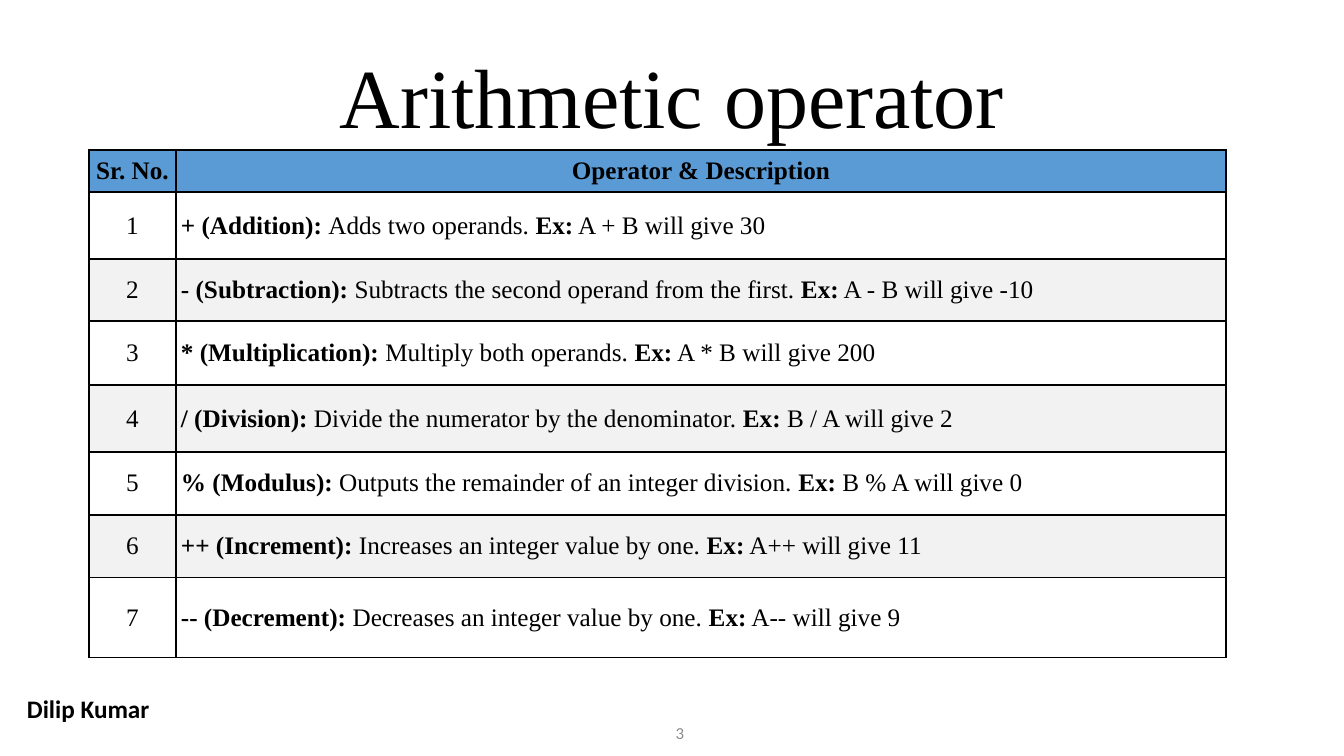
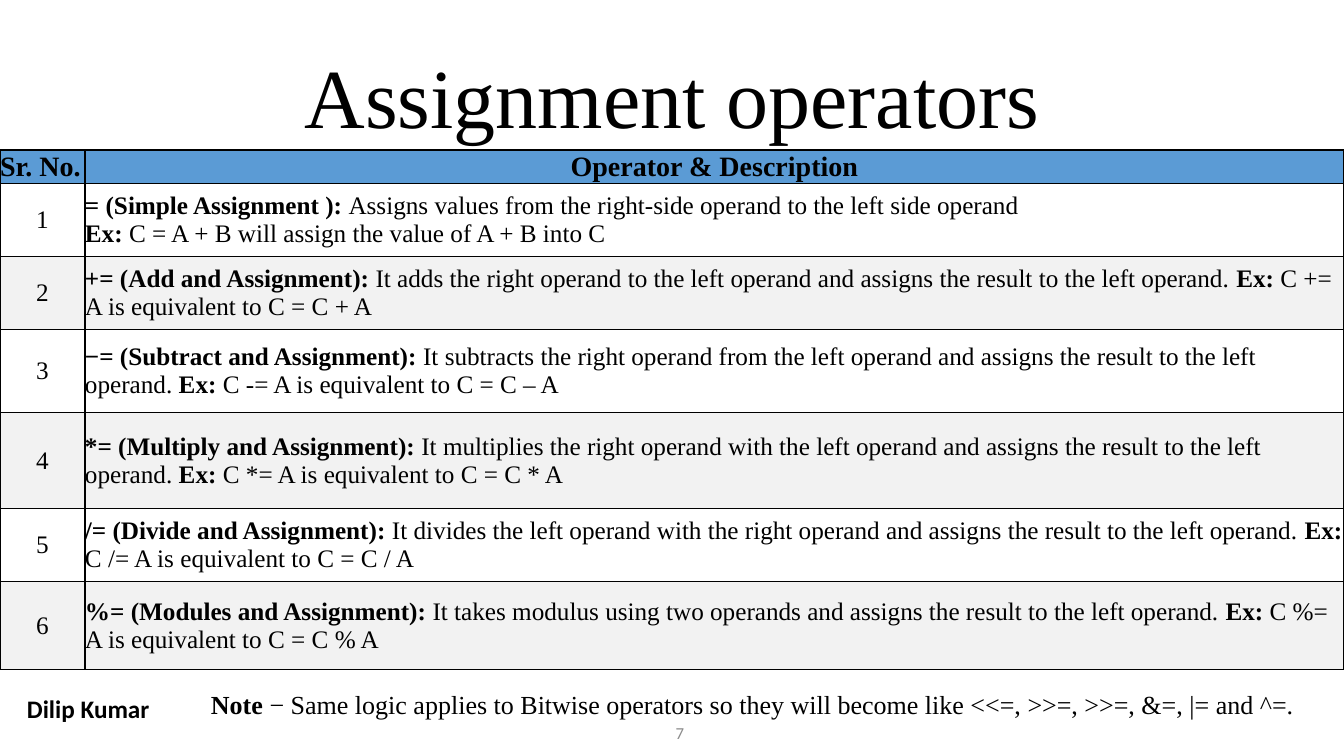
from dataclasses import dataclass

from lxml.etree import SubElement
from pptx import Presentation
from pptx.dml.color import RGBColor
from pptx.enum.text import MSO_ANCHOR, PP_ALIGN
from pptx.oxml.ns import qn
from pptx.util import Emu, Pt

WIDE, HIGH = 1344, 756  # slide size in px
SCALE = 12192000 / WIDE  # EMU for one px


@dataclass(frozen=True)
class Theme:
    serif: str = "Times New Roman"
    sans: str = "Calibri"
    ink: str = "000000"
    gray: str = "8C8C8C"
    head: str = "5B9BD5"
    bands: tuple = ("FFFFFF", "F2F2F2")
    title: float = 60
    body: float = 18
    note: float = 18.6
    page: float = 12
    rule: float = 1


@dataclass(frozen=True)
class Grid:
    """Geometry and header style of one operator table."""
    left: int
    cols: tuple
    rows: tuple
    inset: int
    size: float
    align: PP_ALIGN


THEME = Theme()
TOP = 150
LEFT, MID, RIGHT = PP_ALIGN.LEFT, PP_ALIGN.CENTER, PP_ALIGN.RIGHT
HEADS = ("Sr. No.", "Operator & Description")

MATH_GRID = Grid(89, (87, 1050), (42, 67, 62, 64, 67, 63, 63, 80), 5, 18, MID)
MATH = (
    ("+ (Addition): ", "Adds two operands. ", " A + B will give 30"),
    ("- (Subtraction): ", "Subtracts the second operand from the first. ",
     " A - B will give -10"),
    ("* (Multiplication): ", "Multiply both operands. ",
     " A * B will give 200"),
    ("/ (Division): ", "Divide the numerator by the denominator. ",
     " B / A will give 2"),
    ("% (Modulus): ", "Outputs the remainder of an integer division. ",
     " B % A will give 0"),
    ("++ (Increment): ", "Increases an integer value by one. ",
     " A++ will give 11"),
    ("-- (Decrement): ", "Decreases an integer value by one. ",
     " A-- will give 9"),
)

# A description that ends in a line break puts its example in a new paragraph
SET_GRID = Grid(0, (85, 1259), (31, 73, 73, 83, 96, 73, 88), 0, 20, LEFT)
SETS = (
    ("= (Simple Assignment ): ",
     "Assigns values from the right-side operand to the left side operand\n",
     " C = A + B will assign the value of A + B into C"),
    ("+= (Add and Assignment): ",
     "It adds the right operand to the left operand and assigns the result "
     "to the left operand. ", " C += A is equivalent to C = C + A"),
    ("−= (Subtract and Assignment): ",
     "It subtracts the right operand from the left operand and assigns the "
     "result to the left operand. ", " C -= A is equivalent to C = C – A"),
    ("*= (Multiply and Assignment): ",
     "It multiplies the right operand with the left operand and assigns the "
     "result to the left operand. ", " C *= A is equivalent to C = C * A"),
    ("/= (Divide and Assignment): ",
     "It divides the left operand with the right operand and assigns the "
     "result to the left operand. ", " C /= A is equivalent to C = C / A"),
    ("%= (Modules and Assignment): ",
     "It takes modulus using two operands and assigns the result to the "
     "left operand. ", " C %= A is equivalent to C = C % A"),
)
NOTE = (("Note", True),
        (" − Same logic applies to Bitwise operators so they will become "
         "like <<=, >>=, >>=, &=, |= and ^=.", False))


def px(num):
    return Emu(round(num * SCALE))


def pad(part, left, top, right, bottom):
    part.margin_left, part.margin_top = px(left), px(top)
    part.margin_right, part.margin_bottom = px(right), px(bottom)


def write(para, runs, size, align=LEFT, font=THEME.serif, ink=THEME.ink):
    """Fill a paragraph from (text, bold) pairs."""
    para.alignment = align
    for text, bold in runs:
        run = para.add_run()
        run.text = text
        run.font.name, run.font.size, run.font.bold = font, Pt(size), bold
        run.font.color.rgb = RGBColor.from_string(ink)


def label(slide, box, runs, size, pads=(10, 5, 10, 5),
          anchor=MSO_ANCHOR.TOP, space=1.0, **style):
    frame = slide.shapes.add_textbox(*map(px, box)).text_frame
    frame.word_wrap = True
    frame.vertical_anchor = anchor
    pad(frame, *pads)
    para = frame.paragraphs[0]
    para.line_spacing = space
    write(para, runs, size, **style)


def border(cell):
    props = cell._tc.get_or_add_tcPr()
    for side in ("lnL", "lnR", "lnT", "lnB"):
        line = SubElement(props, qn(f"a:{side}"), w=str(Pt(THEME.rule)))
        fill = SubElement(line, qn("a:solidFill"))
        SubElement(fill, qn("a:srgbClr"), val=THEME.ink)


def dress(cell, fill, inset):
    border(cell)
    cell.fill.solid()
    cell.fill.fore_color.rgb = RGBColor.from_string(fill)
    cell.vertical_anchor = MSO_ANCHOR.MIDDLE
    pad(cell, *[inset] * 4)


def explain(frame, name, text, sample):
    """Write the name, meaning and example of one operator."""
    para = frame.paragraphs[0]
    write(para, ((name, True), (text.rstrip("\n"), False)), THEME.body)
    if text.endswith("\n"):
        para = frame.add_paragraph()
    write(para, (("Ex:", True), (sample, False)), THEME.body)


def chart(slide, grid, items):
    """Place the operator table."""
    box = (grid.left, TOP, sum(grid.cols), sum(grid.rows))
    table = slide.shapes.add_table(
        len(grid.rows), len(grid.cols), *map(px, box)).table
    table.first_row = table.horz_banding = False
    for col, wide in zip(table.columns, grid.cols):
        col.width = px(wide)
    for row, high in zip(table.rows, grid.rows):
        row.height = px(high)

    # Header
    for cell, text, align in zip(table.rows[0].cells, HEADS,
                                 (grid.align, MID)):
        dress(cell, THEME.head, grid.inset)
        write(cell.text_frame.paragraphs[0], ((text, True),), grid.size, align)

    # Numbered operators on alternating bands
    for num, item in enumerate(items, 1):
        count, about = table.rows[num].cells
        for cell in (count, about):
            dress(cell, THEME.bands[(num - 1) % 2], grid.inset)
        write(count.text_frame.paragraphs[0], ((str(num), False),),
              THEME.body, MID)
        explain(about.text_frame, *item)


def footer(slide, page):
    label(slide, (0, 688, 187, 65), (("Dilip Kumar", True),), THEME.body,
          pads=(27, 5, 10, 5), font=THEME.sans)
    label(slide, (650, 713, 44, 40), ((str(page), False),), THEME.page,
          anchor=MSO_ANCHOR.MIDDLE, align=RIGHT, font=THEME.sans,
          ink=THEME.gray)


def lesson(deck, title, page, grid, items):
    """Build one slide: title, table and footer."""
    slide = deck.slides.add_slide(deck.slide_layouts[6])
    label(slide, (0, 1, WIDE, 149), ((title, False),), THEME.title,
          anchor=MSO_ANCHOR.BOTTOM, space=1.5, align=MID)
    footer(slide, page)
    chart(slide, grid, items)
    return slide


def main():
    deck = Presentation()
    deck.slide_width, deck.slide_height = px(WIDE), px(HIGH)
    lesson(deck, "Arithmetic operator", 3, MATH_GRID, MATH)
    slide = lesson(deck, "Assignment operators", 7, SET_GRID, SETS)
    label(slide, (211, 688, 1120, 32), NOTE, THEME.note, pads=(0, 0, 0, 0))
    deck.save("out.pptx")


if __name__ == "__main__":
    main()
